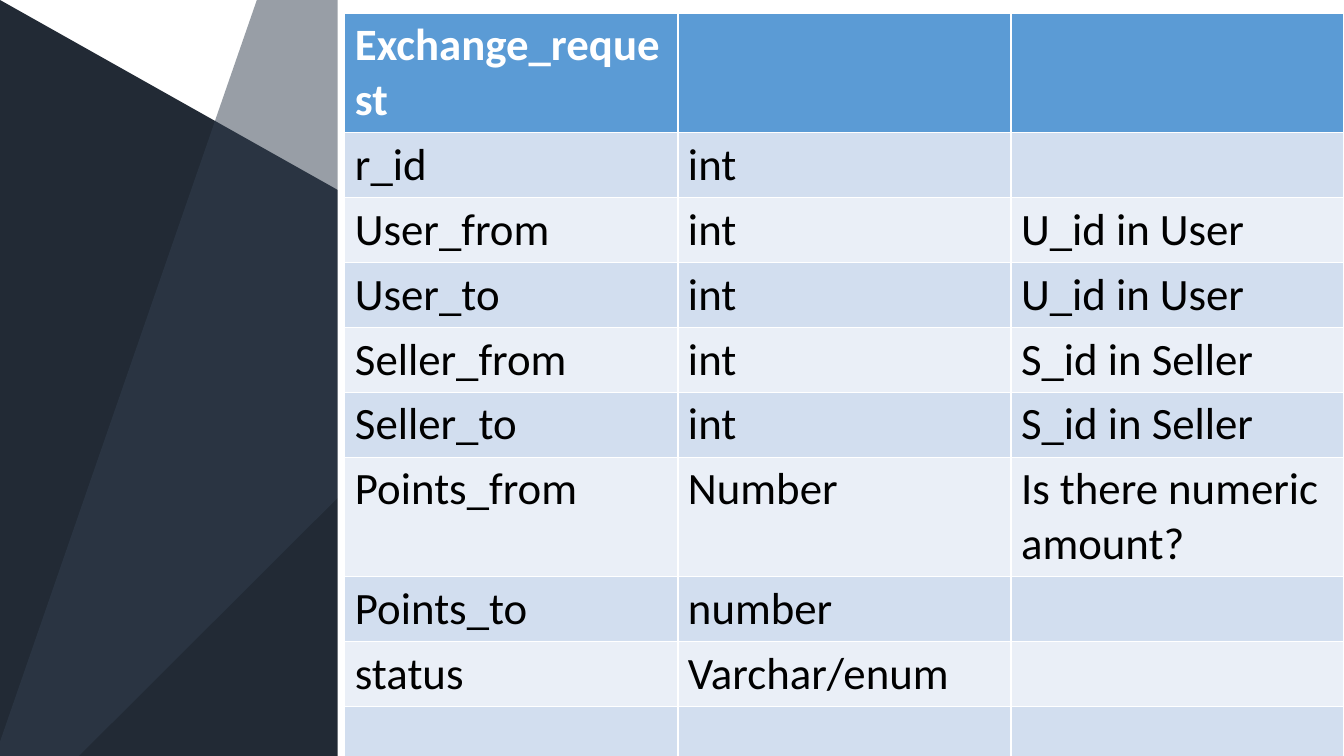
from lxml.etree import SubElement
from pptx import Presentation
from pptx.dml.color import RGBColor
from pptx.enum.shapes import MSO_SHAPE as Preset
from pptx.oxml.ns import qn
from pptx.util import Inches, Pt


def colour(code):
    return RGBColor.from_string(code)


class SchemaSlide:
    font = "Calibri"
    size = Pt(32)
    white, black = "FFFFFF", "000000"
    dark, slate = "222A35", "323F4F"
    header, bands = "5B9BD5", ("D2DEEF", "EAEFF7")

    def __init__(self, deck):
        self.width, self.height = deck.slide_width, deck.slide_height
        self.slide = deck.slides.add_slide(deck.slide_layouts[6])

    def across(self, percent):
        return round(self.width * percent / 100)

    def down(self, percent):
        return round(self.height * percent / 100)

    def shape(self, preset, left, top, width, height, fill, adjust=None, turn=0, opacity=100):
        shape = self.slide.shapes.add_shape(
            preset, self.across(left), self.down(top), self.across(width), self.down(height))
        shape.shadow.inherit = False
        shape.rotation = turn
        shape.line.fill.background()
        shape.fill.solid()
        shape.fill.fore_color.rgb = colour(fill)
        if adjust is not None:
            shape.adjustments[0] = adjust
        if opacity < 100:
            tone = shape.fill._xPr.find(".//" + qn("a:srgbClr"))
            SubElement(tone, qn("a:alpha"), val=str(opacity * 1000))

    def table(self, left, top, width, rows, heights):
        columns = len(rows[0])
        frame = self.slide.shapes.add_table(
            len(rows), columns, self.across(left), self.down(top),
            self.across(width), self.down(sum(heights)))
        table = frame.table
        for column in table.columns:
            column.width = self.across(width / columns)
        for index, (texts, height) in enumerate(zip(rows, heights)):
            table.rows[index].height = self.down(height)
            for position, text in enumerate(texts):
                self.cell(table.cell(index, position), text, index)

    def cell(self, cell, text, index):
        heading = index == 0
        cell.fill.solid()
        cell.fill.fore_color.rgb = colour(self.header if heading else self.bands[(index - 1) % 2])
        if not text:
            return
        cell.text_frame.text = text
        font = cell.text_frame.paragraphs[0].runs[0].font
        font.name, font.size, font.bold = self.font, self.size, heading
        font.color.rgb = colour(self.white if heading else self.black)


def main():
    deck = Presentation()
    deck.slide_width, deck.slide_height = Inches(13.33), Inches(7.5)
    page = SchemaSlide(deck)

    page.shape(Preset.ISOSCELES_TRIANGLE, 0, 0, 100, 100, page.dark, adjust=0)
    page.shape(Preset.PARALLELOGRAM, -5.25, 22.4, 110.5, 55.07, page.dark,
               adjust=0.25, turn=346.3, opacity=50)
    page.shape(Preset.ISOSCELES_TRIANGLE, 8.85, -15.33, 40.58, 148.13, page.slate,
               adjust=1, turn=199.1, opacity=50)
    page.shape(Preset.RECTANGLE, 25.13, 0, 74.87, 100, page.white)

    rows = [
        ("Exchange_request", "", ""),
        ("r_id", "int", ""),
        ("User_from", "int", "U_id in User"),
        ("User_to", "int", "U_id in User"),
        ("Seller_from", "int", "S_id in Seller"),
        ("Seller_to", "int", "S_id in Seller"),
        ("Points_from", "Number", "Is there numeric amount?"),
        ("Points_to", "number", ""),
        ("status", "Varchar/enum", ""),
        ("", "", ""),
    ]
    single, double = 8.53, 15.2
    heights = [double if index in (0, 6) else single for index in range(len(rows))]
    page.table(25.66, 1.73, 74.34, rows, heights)

    deck.save("out.pptx")


if __name__ == "__main__":
    main()
